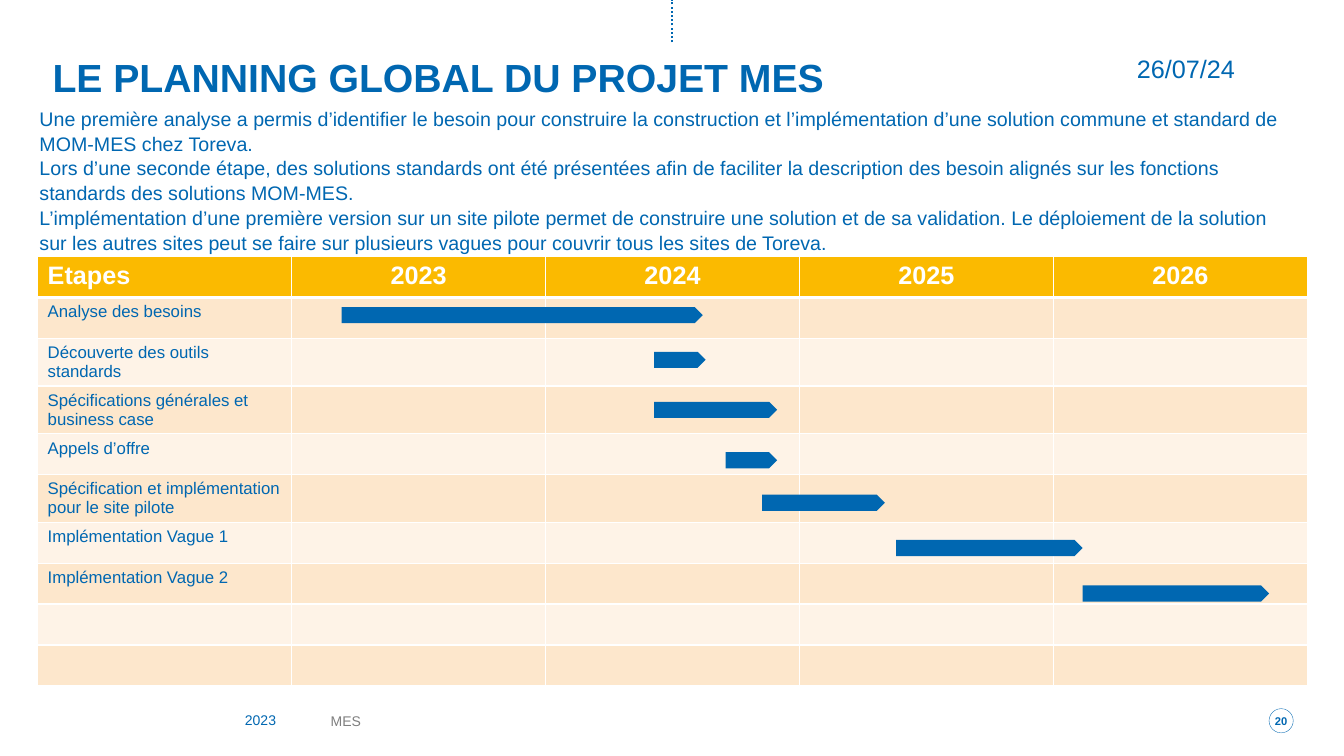
import pptx
import pptx.dml.color
import pptx.enum.dml
import pptx.enum.shapes
import pptx.enum.text
import pptx.oxml
import pptx.oxml.ns
import pptx.util
from dataclasses import dataclass

Pt = pptx.util.Pt
Color = pptx.dml.color.RGBColor.from_string
Align = pptx.enum.text.PP_ALIGN
Anchor = pptx.enum.text.MSO_ANCHOR
Preset = pptx.enum.shapes.MSO_SHAPE


@dataclass(frozen=True)
class Theme:
    font: str = "Arial"
    blue: str = "0067B1"
    gold: str = "FBBA00"
    grey: str = "7F7F7F"
    white: str = "FFFFFF"
    bands: tuple = ("FDE7CC", "FEF3E7")
    title: int = 28
    heading: int = 18
    body: int = 14
    label: int = 12
    footer: int = 10
    number: int = 8


theme = Theme()


def write(frame, text, size, color=theme.blue, bold=False, align=Align.LEFT,
          spacing=None, margin=None, anchor=None):
    """Fill a text frame, one paragraph for each line of text."""
    frame.word_wrap = True
    frame.auto_size = pptx.enum.text.MSO_AUTO_SIZE.NONE
    if margin is not None:
        frame.margin_left = frame.margin_right = Pt(margin)
        frame.margin_top = frame.margin_bottom = Pt(margin)
    if anchor is not None:
        frame.vertical_anchor = anchor
    frame.text = text
    for paragraph in frame.paragraphs:
        paragraph.alignment = align
        paragraph.space_before = Pt(0)
        if spacing:
            paragraph.line_spacing = spacing
        font = paragraph.runs[0].font
        font.name, font.size, font.bold = theme.font, Pt(size), bold
        font.color.rgb = Color(color)


def place(shape, left, top, width, height):
    shape.left, shape.top = Pt(left), Pt(top)
    shape.width, shape.height = Pt(width), Pt(height)


presentation = pptx.Presentation()
presentation.slide_width, presentation.slide_height = Pt(960), Pt(540)
slide = presentation.slides.add_slide(presentation.slide_layouts[1])
shapes = slide.shapes

# Title and introduction
title = shapes.title
place(title, 37.5, 40.3, 885, 31.7)
title.fill.solid()
title.fill.fore_color.rgb = Color(theme.white)
write(title.text_frame, "LE PLANNING GLOBAL DU PROJET MES", theme.title,
      bold=True, spacing=0.9, margin=0, anchor=Anchor.BOTTOM)

introduction = slide.placeholders[1]
place(introduction, 21, 72, 910, 108.7)
write(introduction.text_frame, "\n".join((
    "Une première analyse a permis d’identifier le besoin pour construire la construction et "
    "l’implémentation d’une solution commune et standard de MOM-MES chez Toreva.",
    "Lors d’une seconde étape, des solutions standards ont été présentées afin de faciliter la "
    "description des besoin alignés sur les fonctions standards des solutions MOM-MES.",
    "L’implémentation d’une première version sur un site pilote permet de construire une solution "
    "et de sa validation. Le déploiement de la solution sur les autres sites peut se faire sur "
    "plusieurs vagues pour couvrir tous les sites de Toreva.",
)), theme.body, spacing=1.05, anchor=Anchor.TOP)
for paragraph in introduction.text_frame.paragraphs:
    properties = paragraph._p.get_or_add_pPr()
    properties.set("marL", "0")
    properties.set("indent", "0")
    properties.append(pptx.oxml.parse_xml(f'<a:buNone {pptx.oxml.ns.nsdecls("a")}/>'))

# Dotted line at the top
top_line = shapes.add_connector(
    pptx.enum.shapes.MSO_CONNECTOR.STRAIGHT, Pt(480), Pt(30.2), Pt(480), Pt(0))
top_line.line.color.rgb = Color(theme.blue)
top_line.line.width = Pt(1.5)
top_line.line.dash_style = pptx.enum.dml.MSO_LINE.ROUND_DOT
top_line._element.spPr.append(
    pptx.oxml.parse_xml(f'<a:effectLst {pptx.oxml.ns.nsdecls("a")}/>'))

# Planning table: label, then left and top and width of the bar
headers = ("Etapes", "2023", "2024", "2025", "2026")
steps = (
    ("Analyse des besoins", 244, 219.4, 258),
    ("Découverte des outils standards", 467.3, 251.3, 36.8),
    ("Spécifications générales et business case", 467.3, 287, 87.8),
    ("Appels d’offre", 518.4, 323, 36.8),
    ("Spécification et implémentation pour le site pilote", 544.3, 353.4, 87.8),
    ("Implémentation Vague 1", 640.1, 385.7, 133.2),
    ("Implémentation Vague 2", 773.3, 418.2, 133.2),
)
row_count = 10
table = shapes.add_table(row_count, len(headers), Pt(26.9), Pt(183.2),
                         Pt(907), Pt(292)).table
for column in table.columns:
    column.width = Pt(181.4)
for row_index, row in enumerate(table.rows):
    row.height = Pt(29.2)
    is_header = row_index == 0
    for column_index, cell in enumerate(row.cells):
        cell_properties = cell._tc.get_or_add_tcPr()
        for side in "LRTB":
            thick = (is_header and side == "B") or (row_index == 1 and side == "T")
            cell_properties.append(pptx.oxml.parse_xml(
                f'<a:ln{side} {pptx.oxml.ns.nsdecls("a")} w="{Pt(3 if thick else 1)}">'
                f'<a:solidFill><a:srgbClr val="{theme.white}"/></a:solidFill></a:ln{side}>'))
        cell.fill.solid()
        cell.fill.fore_color.rgb = Color(
            theme.gold if is_header else theme.bands[(row_index - 1) % 2])
        if is_header:
            write(cell.text_frame, headers[column_index], theme.heading, theme.white,
                  bold=True, align=Align.CENTER if column_index else Align.LEFT)
        elif column_index == 0 and row_index <= len(steps):
            write(cell.text_frame, steps[row_index - 1][0], theme.label)

for label, left, top, width in steps:
    bar = shapes.add_shape(Preset.PENTAGON, Pt(left), Pt(top), Pt(width), Pt(11.5))
    bar.shadow.inherit = False
    bar.fill.solid()
    bar.fill.fore_color.rgb = Color(theme.blue)
    bar.line.fill.background()

# Date and footer
date = shapes.add_textbox(Pt(805), Pt(34.6), Pt(134), Pt(28.8))
write(date.text_frame, "26/07/24", theme.heading)
for text, left, top, width, color in (("2023", 175, 508.3, 61, theme.blue),
                                      ("MES", 236.2, 509, 123.8, theme.grey)):
    footer = shapes.add_textbox(Pt(left), Pt(top), Pt(width), Pt(13))
    write(footer.text_frame, text, theme.footer, color, margin=0)

page_number = shapes.add_shape(Preset.OVAL, Pt(906.5), Pt(506.2), Pt(17.3), Pt(17.3))
page_number.shadow.inherit = False
page_number.fill.solid()
page_number.fill.fore_color.rgb = Color(theme.white)
page_number.line.color.rgb = Color(theme.blue)
page_number.line.width = Pt(0.25)
write(page_number.text_frame, "20", theme.number, bold=True, align=Align.CENTER,
      margin=0, anchor=Anchor.MIDDLE)
page_number.text_frame.word_wrap = False

presentation.save("out.pptx")
